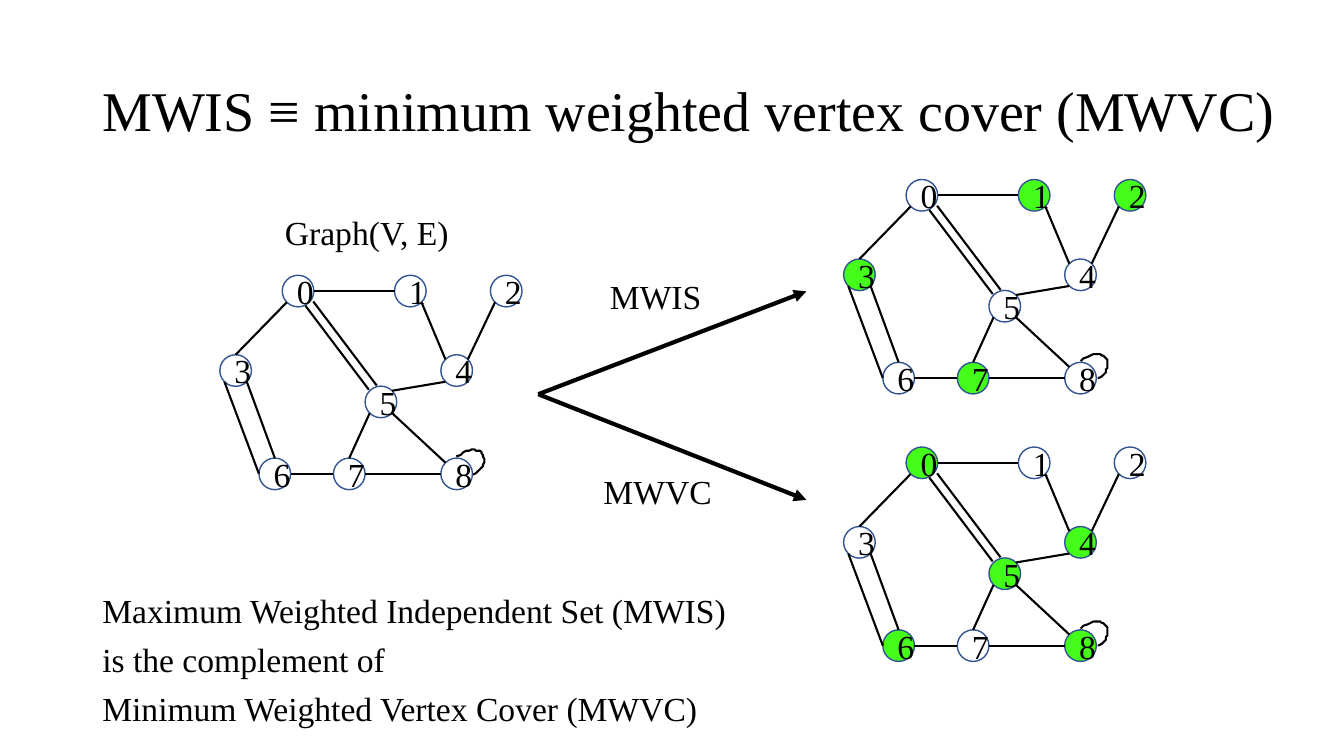
from dataclasses import dataclass
from math import cos, radians, sin
from typing import Optional

from pptx import Presentation
from pptx.dml.color import RGBColor
from pptx.enum.shapes import MSO_CONNECTOR, MSO_SHAPE
from pptx.enum.text import MSO_ANCHOR, MSO_AUTO_SIZE, PP_ALIGN
from pptx.oxml.ns import qn
from pptx.util import Pt
from lxml.etree import SubElement

FONT = "Times New Roman"
BLACK, WHITE, GREEN, RIM = "000000", "FFFFFF", "44FD19", "325491"
DIAMETER = 22.6
Point = tuple[float, float]


@dataclass(frozen=True)
class Edge:
    start: int
    start_angle: int
    end: int
    end_angle: int


@dataclass(frozen=True)
class Graph:
    left: float
    top: float
    chosen: frozenset[int] = frozenset()


@dataclass(frozen=True)
class Label:
    text: str
    left: float
    top: float
    width: float
    height: float = 36
    line_spacing: Optional[float] = None


# Top-left corner of each vertex within a graph; the index is its number
VERTICES: list[Point] = [
    (44.6, 0), (124.8, 0), (193.3, 0),
    (0, 56.8), (157.9, 56.8), (103.8, 79.2),
    (28, 130.6), (81.2, 130.6), (157.9, 130.6),
]

# Edges leave and meet vertices at clockwise angles, with 0 at the right
RIGHT, LOWER_RIGHT, LOWER_LEFT, LEFT = 0, 45, 135, 180
UPPER_LEFT, TOP, UPPER_RIGHT = 225, 270, 315
EDGES = [
    Edge(0, RIGHT, 1, LEFT),
    Edge(0, LOWER_LEFT, 3, TOP),
    Edge(7, LEFT, 6, RIGHT),
    Edge(5, LOWER_LEFT, 7, TOP),
    Edge(1, LOWER_RIGHT, 4, UPPER_LEFT),
    Edge(2, LOWER_LEFT, 4, UPPER_RIGHT),
    Edge(5, UPPER_RIGHT, 4, LOWER_LEFT),
    Edge(5, LOWER_RIGHT, 8, UPPER_LEFT),
    Edge(7, RIGHT, 8, LEFT),
    Edge(6, LEFT, 3, LOWER_LEFT),
    Edge(6, TOP, 3, LOWER_RIGHT),
]

# The double edge 0-5: two parallel lines
PARALLEL_STARTS: list[Point] = [(61.2, 21.8), (66.8, 18.8)]
PARALLEL_RUN: Point = (45.3, 60)

# Bezier control points of the loop, relative to vertex 8
LOOP: list[Point] = [(11, -0.7), (32.6, -16), (36.2, 7.2), (23.3, 11.4)]
LOOP_STEPS = 24

GRAPHS = [
    Graph(157, 196.6),
    Graph(602.6, 128.2, frozenset({1, 2, 3, 7})),
    Graph(602.6, 319.3, frozenset({0, 4, 5, 6, 8})),
]

FORK: Point = (384.5, 281.6)
ARROW_TIPS: list[Point] = [(576, 208.1), (576, 357.1)]

LABELS = [
    Label("Graph(V, E)", 196.4, 147.5, 142),
    Label("MWIS", 428.6, 193.5, 91),
    Label("MWVC", 424, 333, 99.5),
    Label("Maximum Weighted Independent Set (MWIS)\nis the complement of\n"
          "Minimum Weighted Vertex Cover (MWVC)",
          66, 411.8, 828, 121, line_spacing=35),
]


def rgb(code: str) -> RGBColor:
    return RGBColor.from_string(code)


def style_text(paragraph, size: float) -> None:
    paragraph.font.name = FONT
    paragraph.font.size = Pt(size)
    paragraph.font.color.rgb = rgb(BLACK)


def draw_line(shapes, start: Point, end: Point, width: float = 1.5, arrow: bool = False) -> None:
    connector = shapes.add_connector(
        MSO_CONNECTOR.STRAIGHT, *(Pt(value) for value in (*start, *end)))
    connector.line.color.rgb = rgb(BLACK)
    connector.line.width = Pt(width)
    properties = connector._element.spPr
    if arrow:
        SubElement(properties.find(qn("a:ln")), qn("a:tailEnd"), type="triangle")
    SubElement(properties, qn("a:effectLst"))


def draw_vertex(shapes, number: int, corner: Point, fill: str) -> None:
    vertex = shapes.add_shape(
        MSO_SHAPE.OVAL, Pt(corner[0]), Pt(corner[1]), Pt(DIAMETER), Pt(DIAMETER))
    vertex.shadow.inherit = False
    vertex.fill.solid()
    vertex.fill.fore_color.rgb = rgb(fill)
    vertex.line.color.rgb = rgb(RIM)
    vertex.line.width = Pt(1)
    vertex.text_frame.vertical_anchor = MSO_ANCHOR.MIDDLE
    paragraph = vertex.text_frame.paragraphs[0]
    paragraph.text = str(number)
    paragraph.alignment = PP_ALIGN.CENTER
    style_text(paragraph, 24)


def rim_point(corner: Point, angle: int) -> Point:
    radius = DIAMETER / 2
    return (corner[0] + radius * (1 + cos(radians(angle))),
            corner[1] + radius * (1 + sin(radians(angle))))


def bezier(controls: list[Point], t: float) -> Point:
    weights = ((1 - t) ** 3, 3 * t * (1 - t) ** 2, 3 * t ** 2 * (1 - t), t ** 3)
    return (sum(w * x for w, (x, _) in zip(weights, controls)),
            sum(w * y for w, (_, y) in zip(weights, controls)))


def draw_loop(shapes, corner: Point) -> None:
    controls = [(corner[0] + x, corner[1] + y) for x, y in LOOP]
    points = [bezier(controls, step / LOOP_STEPS) for step in range(LOOP_STEPS + 1)]
    builder = shapes.build_freeform(*points[0], scale=Pt(1))
    builder.add_line_segments(points[1:], close=False)
    loop = builder.convert_to_shape()
    loop.shadow.inherit = False
    loop.fill.background()
    loop.line.color.rgb = rgb(BLACK)
    loop.line.width = Pt(1.5)


def draw_graph(slide, graph: Graph) -> None:
    shapes = slide.shapes.add_group_shape().shapes
    corners = [(graph.left + x, graph.top + y) for x, y in VERTICES]
    for number, corner in enumerate(corners):
        draw_vertex(shapes, number, corner, GREEN if number in graph.chosen else WHITE)
    for x, y in PARALLEL_STARTS:
        start = (graph.left + x, graph.top + y)
        draw_line(shapes, start, (start[0] + PARALLEL_RUN[0], start[1] + PARALLEL_RUN[1]))
    for edge in EDGES:
        draw_line(shapes, rim_point(corners[edge.start], edge.start_angle),
                  rim_point(corners[edge.end], edge.end_angle))
    draw_loop(shapes, corners[8])


def draw_label(slide, label: Label) -> None:
    box = slide.shapes.add_textbox(
        Pt(label.left), Pt(label.top), Pt(label.width), Pt(label.height))
    box.text_frame.word_wrap = True
    paragraph = box.text_frame.paragraphs[0]
    paragraph.text = label.text
    if label.line_spacing:
        paragraph.line_spacing = Pt(label.line_spacing)
    style_text(paragraph, 24)


def draw_title(slide) -> None:
    title = slide.shapes.title
    title.left, title.top, title.width, title.height = Pt(66), Pt(28.8), Pt(874), Pt(104.4)
    title.text_frame.auto_size = MSO_AUTO_SIZE.NONE
    title.text_frame.vertical_anchor = MSO_ANCHOR.MIDDLE
    heading = title.text_frame.paragraphs[0]
    heading.text = "MWIS ≡ minimum weighted vertex cover (MWVC)"
    heading.alignment = PP_ALIGN.LEFT
    heading.line_spacing = 0.9
    style_text(heading, 40)


def main() -> None:
    presentation = Presentation()
    presentation.slide_width, presentation.slide_height = Pt(960), Pt(540)
    slide = presentation.slides.add_slide(presentation.slide_layouts[5])
    draw_title(slide)
    for graph in GRAPHS:
        draw_graph(slide, graph)
    for tip in ARROW_TIPS:
        draw_line(slide.shapes, FORK, tip, width=3, arrow=True)
    for label in LABELS:
        draw_label(slide, label)
    presentation.save("out.pptx")


if __name__ == "__main__":
    main()
